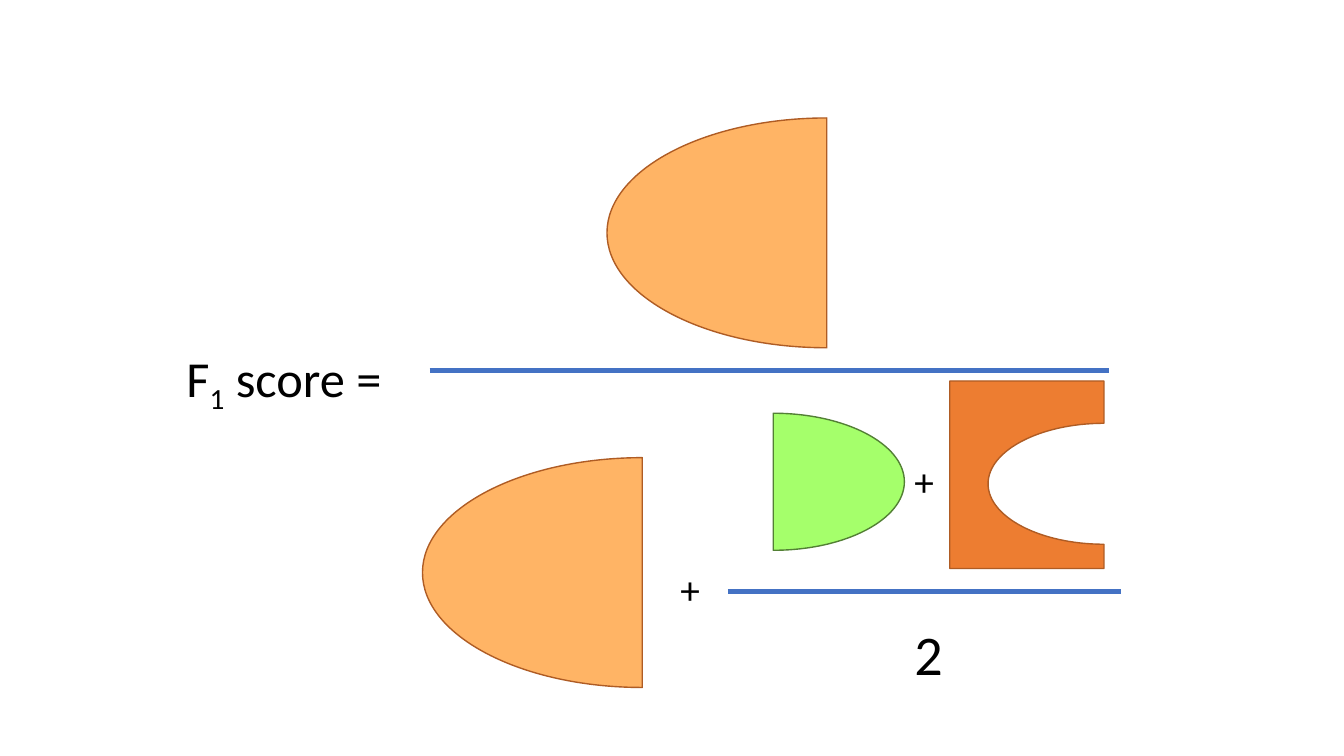
"""Build a slide that shows the F1 score as a fraction of shapes."""
from dataclasses import dataclass
from itertools import chain

from lxml import etree
from pptx import Presentation
from pptx.dml.color import RGBColor
from pptx.enum.shapes import MSO_CONNECTOR
from pptx.enum.text import MSO_AUTO_SIZE
from pptx.oxml.ns import qn
from pptx.shapes.autoshape import Shape
from pptx.shapes.connector import Connector
from pptx.slide import Slide
from pptx.text.text import _Paragraph
from pptx.util import Inches, Pt

STRAIGHT = MSO_CONNECTOR.STRAIGHT
FIT_SHAPE = MSO_AUTO_SIZE.SHAPE_TO_FIT_TEXT
LEFT, RIGHT = -1, 1
KAPPA = 0.55
Point = tuple[float, float]
Segment = tuple[Point, ...]


@dataclass(frozen=True)
class Theme:
    """Hold the colours, font and sizes of the slide."""
    font: str = "Calibri"
    text: str = "000000"
    bar: str = "4472C4"
    true_positive: str = "FFB465"
    false_positive: str = "A5FF6B"
    false_negative: str = "ED7D31"
    orange_edge: str = "AF5C24"
    green_edge: str = "538035"
    label_size: int = 36
    number_size: int = 40
    plus_size: int = 28
    bar_width: float = 3.5
    edge_width: float = 1


@dataclass(frozen=True)
class Bar:
    """Describe a fraction bar."""
    left: float
    right: float
    y: float


@dataclass(frozen=True)
class Arc:
    """Describe a half ellipse by the middle of its flat side."""
    cx: float
    cy: float
    rx: float
    ry: float
    side: int

    def at(self, across: float, down: float) -> Point:
        """Return the point at the given shares of the two radii."""
        return (self.cx + self.side * across * self.rx,
                self.cy + down * self.ry)

    def curves(self) -> list[Segment]:
        """Return the two quarter curves from top to bottom."""
        return [(self.at(KAPPA, -1), self.at(1, -KAPPA), self.at(1, 0)),
                (self.at(1, KAPPA), self.at(KAPPA, 1), self.at(0, 1))]


@dataclass(frozen=True)
class Region:
    """Describe a filled outline of lines (one point) and curves (three)."""
    start: Point
    segments: list[Segment]
    fill: str
    edge: str


@dataclass(frozen=True)
class Label:
    """Describe a text box whose runs are pairs of text and baseline shift."""
    left: float
    top: float
    width: float
    height: float
    runs: tuple[tuple[str, int], ...]
    size: int


def half_ellipse(arc: Arc, fill: str, edge: str) -> Region:
    """Return the region between an arc and its flat side."""
    return Region(arc.at(0, -1), arc.curves(), fill, edge)


THEME = Theme()
NOTCH = Arc(10.95, 4.8, 1.15, 0.6, LEFT)
BARS = [Bar(4.26, 11, 3.68), Bar(7.22, 11.12, 5.87)]
REGIONS = [
    *(half_ellipse(Arc(cx, cy, 2.18, 1.14, LEFT),
                   THEME.true_positive, THEME.orange_edge)
      for cx, cy in [(8.2, 2.31), (6.37, 5.68)]),
    Region((9.42, 3.78),
           [((10.95, 3.78),), (NOTCH.at(0, -1),), *NOTCH.curves(),
            ((10.95, 5.64),), ((9.42, 5.64),)],
           THEME.false_negative, THEME.orange_edge),
    half_ellipse(Arc(7.67, 4.78, 1.3, 0.68, RIGHT),
                 THEME.false_positive, THEME.green_edge),
]
LABELS = [
    Label(1.75, 3.39, 2.29, 0.71,
          (("F", 0), ("1", -25), (" score =", 0)), THEME.label_size),
    Label(8.97, 6.1, 0.49, 0.77, (("2", 0),), THEME.number_size),
    *(Label(left, top, 0.4, 0.57, (("+", 0),), THEME.plus_size)
      for left, top in [(8.97, 4.49), (6.65, 5.56)]),
]


def rgb(value: str) -> RGBColor:
    """Turn a hex string into a colour."""
    return RGBColor.from_string(value)


def draw_bar(s: Slide, bar: Bar) -> Connector:
    """Draw a fraction bar."""
    line = s.shapes.add_connector(STRAIGHT, Inches(bar.left), Inches(bar.y),
                                  Inches(bar.right), Inches(bar.y))
    line.line.color.rgb = rgb(THEME.bar)
    line.line.width = Pt(THEME.bar_width)
    etree.SubElement(line._element.spPr, qn("a:effectLst"))
    return line


def bend(sp: Shape, segments: list[Segment]) -> None:
    """Join the lines of each three-point segment into one curve."""
    lines = iter(list(sp._element.iter(qn("a:lnTo"))))
    for segment in segments:
        first, *others = [next(lines) for _ in segment]
        if others:
            first.tag = qn("a:cubicBezTo")
            for other in others:
                first.append(other[0])
                other.getparent().remove(other)


def draw_region(s: Slide, region: Region) -> Shape:
    """Draw a filled outline."""
    builder = s.shapes.build_freeform(*map(Inches, region.start))
    points = chain.from_iterable(region.segments)
    builder.add_line_segments([(Inches(x), Inches(y)) for x, y in points])
    sp = builder.convert_to_shape()
    bend(sp, region.segments)
    sp.shadow.inherit = False
    sp.fill.solid()
    sp.fill.fore_color.rgb = rgb(region.fill)
    sp.line.color.rgb = rgb(region.edge)
    sp.line.width = Pt(THEME.edge_width)
    return sp


def add_run(p: _Paragraph, text: str, *, size: int, color: str = THEME.text,
            font: str = THEME.font, baseline: int = 0) -> None:
    """Add a formatted run to a paragraph."""
    r = p.add_run()
    r.text = text
    r.font.name = font
    r.font.size = Pt(size)
    r.font.color.rgb = rgb(color)
    if baseline:
        r._r.get_or_add_rPr().set("baseline", str(baseline * 1000))


def draw_label(s: Slide, label: Label) -> Shape:
    """Draw a text box that does not wrap."""
    sp = s.shapes.add_textbox(Inches(label.left), Inches(label.top),
                              Inches(label.width), Inches(label.height))
    tf = sp.text_frame
    tf.word_wrap = False
    tf.auto_size = FIT_SHAPE
    for text, baseline in label.runs:
        add_run(tf.paragraphs[0], text, size=label.size, baseline=baseline)
    return sp


def main() -> None:
    """Build and save the slide."""
    prs = Presentation()
    prs.slide_width, prs.slide_height = Inches(13.33), Inches(7.5)
    s = prs.slides.add_slide(prs.slide_layouts[6])
    for bar in BARS:
        draw_bar(s, bar)
    for region in REGIONS:
        draw_region(s, region)
    for label in LABELS:
        draw_label(s, label)
    prs.save("out.pptx")


if __name__ == "__main__":
    main()
